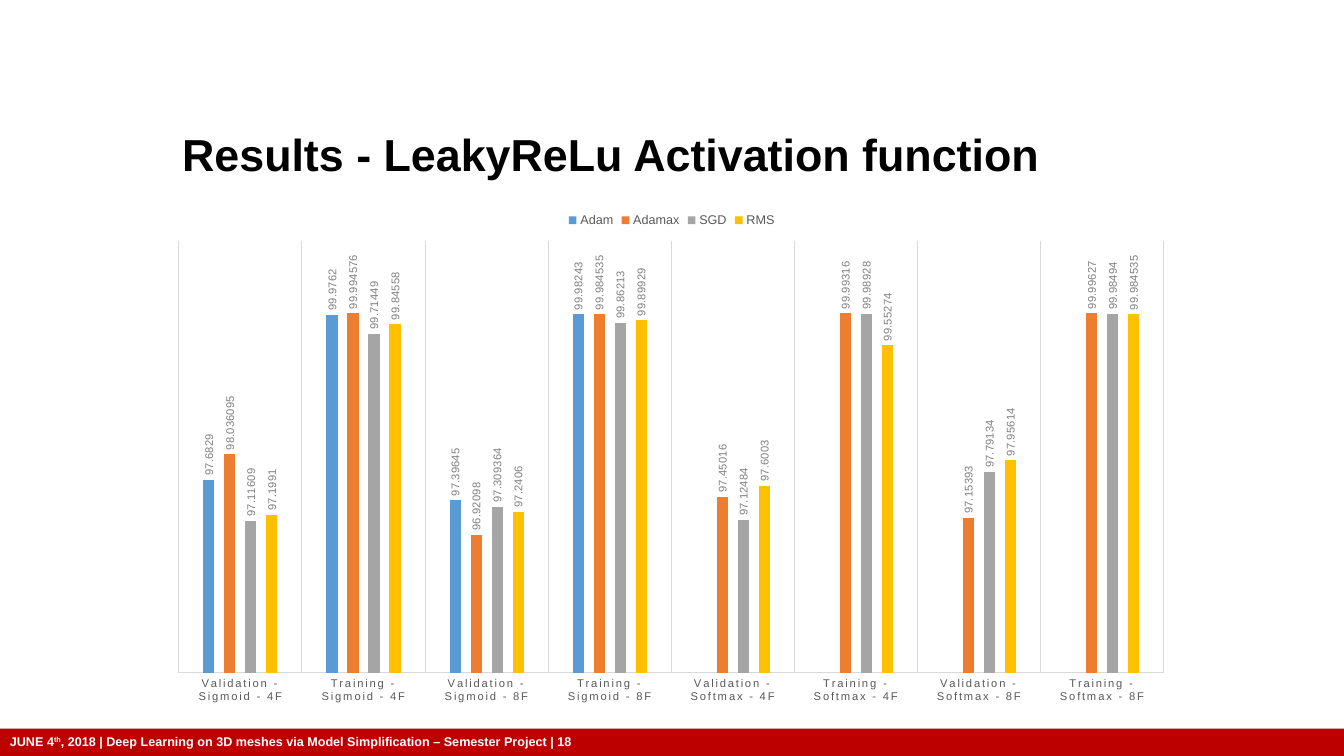
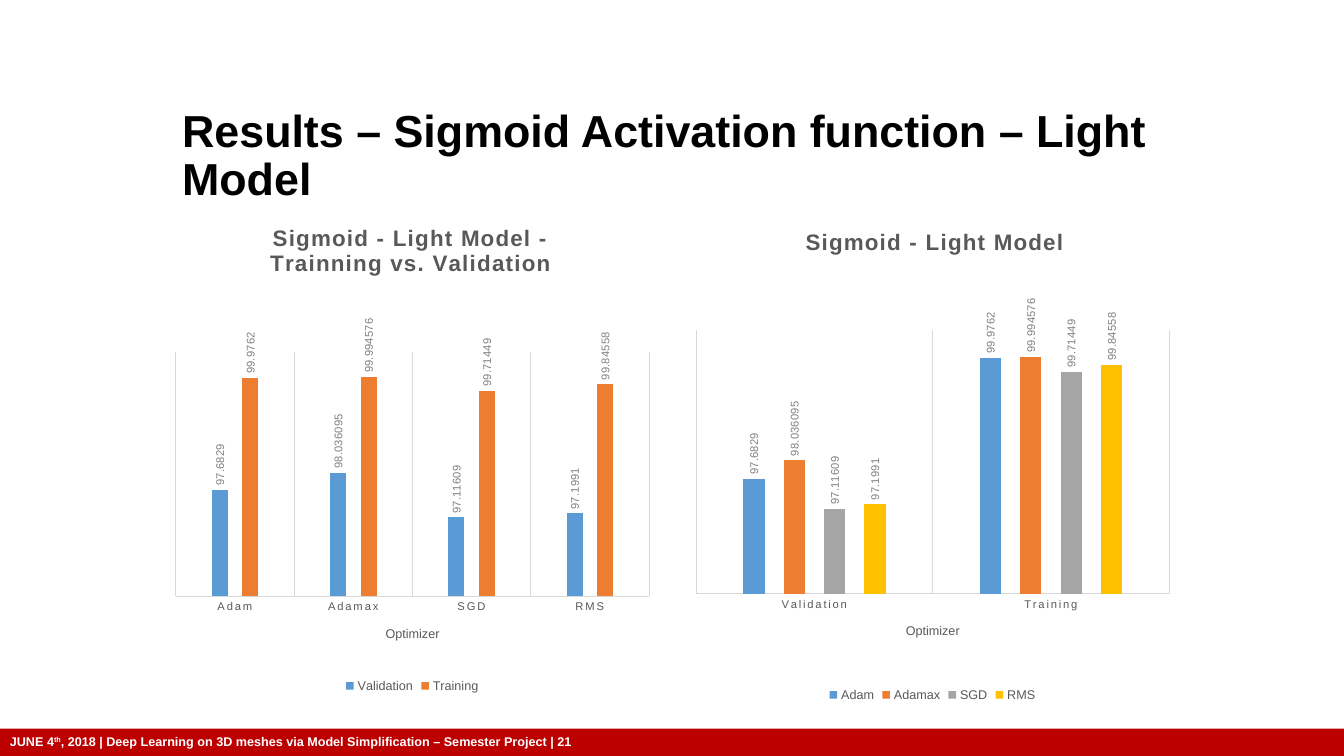
import pptx
import pptx.chart.data
import pptx.dml.color
import pptx.enum.chart
import pptx.enum.shapes
import pptx.enum.text
import pptx.oxml
import pptx.oxml.ns
import pptx.util
from pptx.util import Cm

COLORS = {
    "band": "BC0000", "white": "FFFFFF", "title": "000000",
    "axis_text": "595959", "label": "808080", "grid": "D9D9D9",
    "Adam": "5B9BD5", "Adamax": "ED7D31", "SGD": "A5A5A5", "RMS": "FFC000",
    "Validation": "5B9BD5", "Training": "ED7D31",
}

CATEGORIES = [f"{phase} - {output} - {size}"
              for output in ("Sigmoid", "Softmax")
              for size in ("4F", "8F")
              for phase in ("Validation", "Training")]
ACCURACY = {
    "Adam": [97.6829, 99.9762, 97.39645, 99.98243, None, None, None, None],
    "Adamax": [98.036095, 99.994576, 96.92098, 99.984535,
               97.45016, 99.99316, 97.15393, 99.99627],
    "SGD": [97.11609, 99.71449, 97.309364, 99.86213,
            97.12484, 99.98928, 97.79134, 99.98494],
    "RMS": [97.1991, 99.84558, 97.2406, 99.89929,
            97.6003, 99.55274, 97.95614, 99.984535],
}
PHASES = ["Validation", "Training"]


def color(name):
    return pptx.dml.color.RGBColor.from_string(COLORS[name])


def place(parent, index, **fractions):
    tag = pptx.oxml.ns.qn("c:layout")
    for old in parent.findall(tag):
        parent.remove(old)
    modes = "".join(f'<c:{axis}Mode val="edge"/>' for axis in "xy")
    sizes = "".join(f'<c:{key} val="{value}"/>' for key, value in fractions.items())
    target = '<c:layoutTarget val="inner"/>' if "w" in fractions else ""
    parent.insert(index, pptx.oxml.parse_xml(
        f'<c:layout {pptx.oxml.ns.nsdecls("c")}><c:manualLayout>'
        f"{target}{modes}{sizes}</c:manualLayout></c:layout>"))


class Deck:
    """Holds the shared style and the slide being built."""

    def __init__(self):
        self.prs = pptx.Presentation()
        self.prs.slide_width, self.prs.slide_height = Cm(33.87), Cm(19.05)
        self.slide = None

    def font(self, font, size, name, bold=False, spacing=0):
        font.name, font.size, font.bold = "Arial", pptx.util.Pt(size), bold
        font.color.rgb = color(name)
        if spacing:
            font._element.set("spc", str(spacing))

    def new_slide(self, title, number):
        self.slide = self.prs.slides.add_slide(self.prs.slide_layouts[6])
        self.footer(number)
        heading = self.text(4.34, 3.2, 27.2, 1.5, 0.25, [title], 32, "title")
        heading.line_spacing = 0.9

    def text(self, left, top, width, height, inset, pieces, size, name):
        box = self.slide.shapes.add_textbox(Cm(left), Cm(top), Cm(width), Cm(height))
        frame = box.text_frame
        frame.word_wrap = True
        frame.vertical_anchor = pptx.enum.text.MSO_ANCHOR.MIDDLE
        frame.margin_left = frame.margin_right = Cm(0.25)
        frame.margin_top = frame.margin_bottom = Cm(inset)
        paragraph = frame.paragraphs[0]
        for piece in pieces:
            paragraph.add_run().text = piece
        self.font(paragraph.font, size, name, bold=True)
        return paragraph

    def footer(self, number):
        band = self.slide.shapes.add_shape(
            pptx.enum.shapes.MSO_SHAPE.RECTANGLE, 0, Cm(18.36), Cm(33.87), Cm(0.69))
        band.shadow.inherit = False
        band.fill.solid()
        band.fill.fore_color.rgb = color("band")
        band.line.fill.background()
        pieces = ["JUNE 4", "th", ", 2018 | Deep Learning on 3D meshes via Model "
                  f"Simplification – Semester Project | {number}"]
        line = self.text(0, 18.36, 33.9, 0.66, 0.13, pieces, 9, "white")
        line.runs[1].font._element.set("baseline", "30000")

    def chart(self, box, categories, series, scale, plot, legend,
              title=None, title_at=None, axis_title=None):
        data = pptx.chart.data.CategoryChartData()
        data.categories = categories
        for name, values in series.items():
            data.add_series(name, values)
        kind = pptx.enum.chart.XL_CHART_TYPE.COLUMN_CLUSTERED
        chart = self.slide.shapes.add_chart(kind, *map(Cm, box), data).chart
        self.font(chart.font, 10, "title")
        chart.has_title = title is not None
        if title:
            self.caption(chart.chart_title, title, 16, bold=True, spacing=100)
            place(chart.chart_title._element, 1, x=title_at[0], y=title_at[1])
        chart.has_legend = True
        chart.legend.position = legend
        chart.legend.include_in_layout = False
        self.font(chart.legend.font, 9, "axis_text")
        self.axes(chart, scale, axis_title)
        self.columns(chart.plots[0])
        place(chart._chartSpace.chart.plotArea, 0, **dict(zip("xywh", plot)))

    def caption(self, owner, words, size, **style):
        paragraph = owner.text_frame.paragraphs[0]
        paragraph.add_run().text = words
        self.font(paragraph.font, size, "axis_text", **style)

    def axes(self, chart, scale, axis_title):
        values, names = chart.value_axis, chart.category_axis
        values.minimum_scale, values.maximum_scale = scale
        values.has_major_gridlines = False
        values.visible = False
        names.has_major_gridlines = True
        names.major_tick_mark = pptx.enum.chart.XL_TICK_MARK.NONE
        for line in (names.format.line, names.major_gridlines.format.line):
            line.color.rgb = color("grid")
            line.width = pptx.util.Pt(0.75)
        self.font(names.tick_labels.font, 8, "axis_text", spacing=120)
        names.has_title = axis_title is not None
        if axis_title:
            self.caption(names.axis_title, axis_title, 9)

    def columns(self, plot):
        plot.gap_width, plot.overlap = 444, -90
        plot.vary_by_categories = False
        for series in plot.series:
            series.format.fill.solid()
            series.format.fill.fore_color.rgb = color(series.name)
            labels = series.data_labels
            labels.show_value = True
            labels.position = pptx.enum.chart.XL_LABEL_POSITION.OUTSIDE_END
            self.font(labels.font, 8, "label")
            body = labels._element.find(".//" + pptx.oxml.ns.qn("a:bodyPr"))
            body.set("rot", "-5400000")
            body.set("vert", "horz")


def main():
    deck = Deck()
    position = pptx.enum.chart.XL_LEGEND_POSITION

    deck.new_slide("Results - LeakyReLu Activation function", 18)
    deck.chart((3.99, 5.08, 25.88, 12.9), CATEGORIES, ACCURACY, (95, 101),
               (0.02, 0.077, 0.959, 0.844), position.TOP)

    deck.new_slide("Results – Sigmoid Activation function – Light Model", 21)
    light = {name: values[:2] for name, values in ACCURACY.items()}
    by_phase = dict(zip(PHASES, zip(*light.values())))
    deck.chart((4.04, 5.05, 12.7, 12.52), list(light), by_phase, (95.5, 100.5),
               (0.031, 0.306, 0.939, 0.491), position.BOTTOM,
               "Sigmoid - Light Model - Trainning vs. Validation", (0.21, 0.04),
               "Optimizer")
    deck.chart((17.15, 5.13, 12.7, 12.67), PHASES, light, (95.5, 100.5),
               (0.031, 0.252, 0.939, 0.524), position.BOTTOM,
               "Sigmoid - Light Model", (0.24, 0.04), "Optimizer")
    deck.prs.save("out.pptx")


if __name__ == "__main__":
    main()
